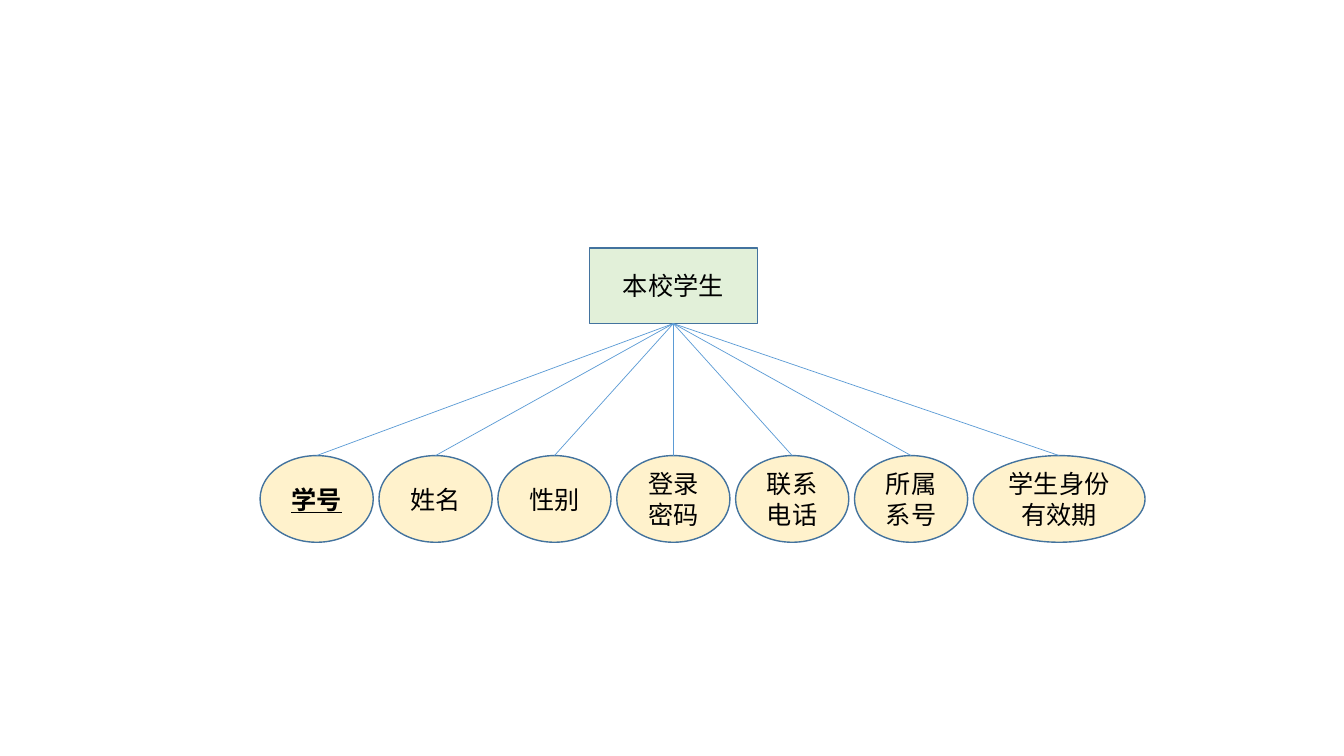
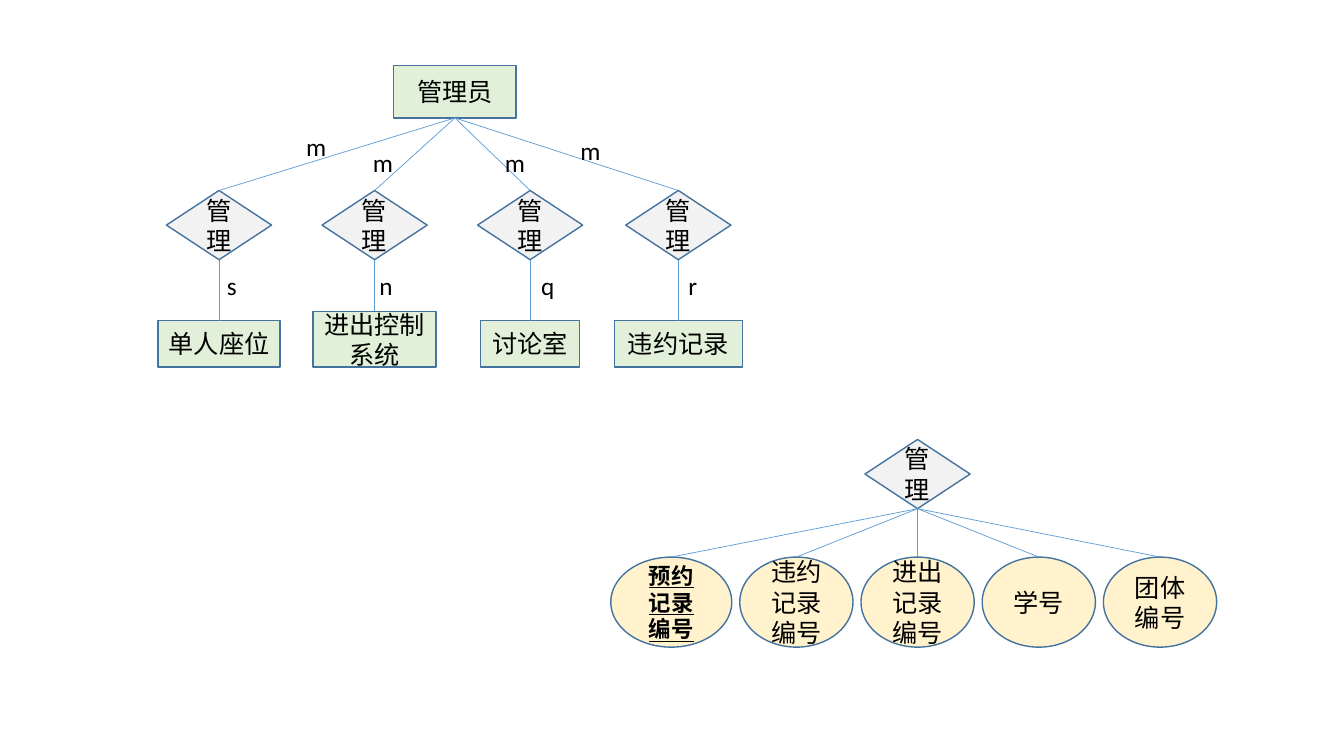
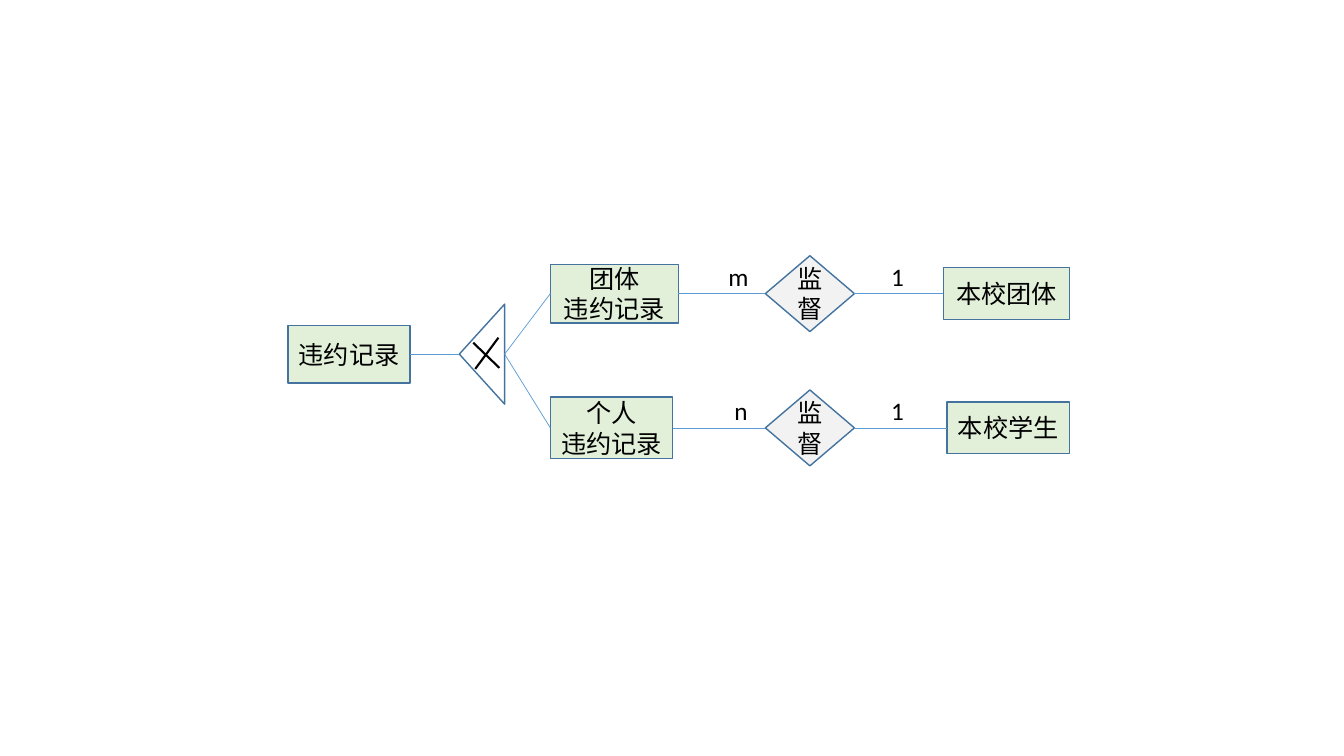
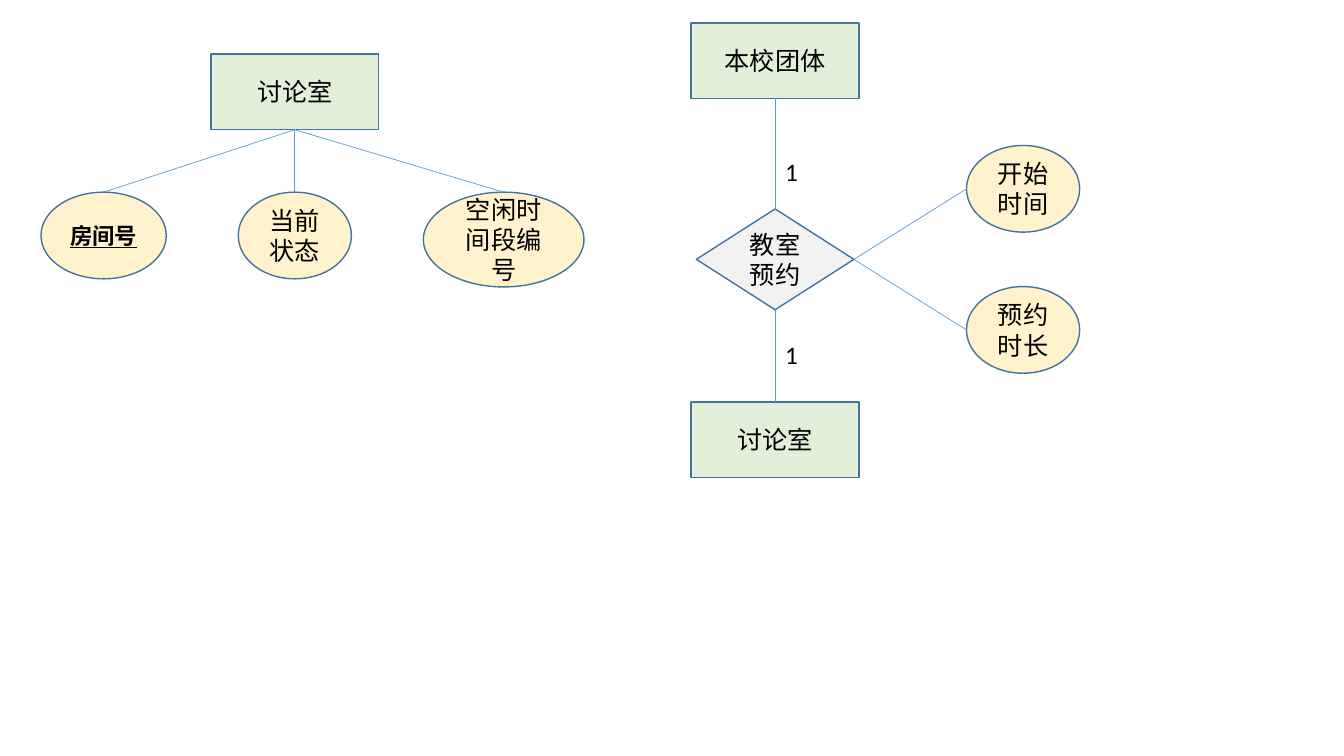
from dataclasses import dataclass
from typing import NamedTuple

from lxml.etree import SubElement
from pptx import Presentation
from pptx.dml.color import RGBColor
from pptx.enum.shapes import MSO_CONNECTOR, MSO_SHAPE
from pptx.enum.text import MSO_ANCHOR, MSO_AUTO_SIZE, PP_ALIGN
from pptx.oxml.ns import qn
from pptx.util import Inches, Pt

COLS, ROWS = 40, 22.5
CELL = Inches(1) / 3


@dataclass(frozen=True)
class Theme:
    """Colours, type sizes and line widths of the deck."""
    font: str = "Calibri"
    size: int = 18
    small: int = 16
    ink: str = "000000"
    edge: str = "43739E"
    wire: str = "5B9BD5"
    entity: str = "E2F0D9"
    tie: str = "F2F2F2"
    field: str = "FFF2CC"
    thin: float = 0.5
    rim: float = 1
    bold: float = 1.5


class Box(NamedTuple):
    """Region in grid cells."""
    x: float
    y: float
    w: float
    h: float


class Leaf(NamedTuple):
    """Attribute with its size; key is the type size of a key attribute."""
    text: str
    w: float = 3.37
    h: float = 2.58
    key: int = 0


class Arm(NamedTuple):
    """Branch of a tree: centre, entity and two marks."""
    mid: float
    text: str
    w: float
    h: float
    spot: tuple
    mark: str
    shift: float


THEME = Theme()
LOOKS = {
    "entity": (MSO_SHAPE.RECTANGLE, THEME.entity),
    "tie": (MSO_SHAPE.DIAMOND, THEME.tie),
    "field": (MSO_SHAPE.OVAL, THEME.field),
}
SIDES = {"top": (0.5, 0), "left": (0, 0.5), "bottom": (0.5, 1), "right": (1, 0.5)}
MARKS = {"m": 1.2, "n": 1.02, "q": 1.02, "s": 0.9, "r": 0.87, "1": 0.99}
BIG = (5, 2.25)


def emu(*cells):
    """Turn grid cells into slide units."""
    return [round(cell * CELL) for cell in cells]


def style(frame, size=THEME.size, key=False):
    """Format every run of a text frame."""
    for para in frame.paragraphs:
        for run in para.runs:
            font = run.font
            font.name, font.size = THEME.font, Pt(size)
            font.color.rgb = RGBColor.from_string(THEME.ink)
            if key:
                font.bold = font.underline = True


def rim(shape):
    """Give a shape the common outline and no shadow."""
    shape.shadow.inherit = False
    shape.line.color.rgb = RGBColor.from_string(THEME.edge)
    shape.line.width = Pt(THEME.rim)


def node(slide, kind, text, mid, top, w, h, key=0):
    """Draw a labelled node centred on a column."""
    form, fill = LOOKS[kind]
    shape = slide.shapes.add_shape(form, *emu(mid - w / 2, top, w, h))
    rim(shape)
    shape.fill.solid()
    shape.fill.fore_color.rgb = RGBColor.from_string(fill)
    frame = shape.text_frame
    frame.text = text
    frame.word_wrap = True
    frame.vertical_anchor = MSO_ANCHOR.MIDDLE
    for para in frame.paragraphs:
        para.alignment = PP_ALIGN.CENTER
    style(frame, key or THEME.size, bool(key))
    return shape


def note(slide, text, x, y):
    """Write a cardinality mark."""
    frame = slide.shapes.add_textbox(*emu(x, y, MARKS[text], 1.2)).text_frame
    frame.text = text
    frame.word_wrap = False
    frame.auto_size = MSO_AUTO_SIZE.SHAPE_TO_FIT_TEXT
    style(frame)


def wire(slide, start, end, color=THEME.wire, width=THEME.thin):
    """Draw a straight line between two points."""
    line = slide.shapes.add_connector(MSO_CONNECTOR.STRAIGHT, *start, *end)
    line.line.color.rgb = RGBColor.from_string(color)
    line.line.width = Pt(width)
    SubElement(line._element.spPr, qn("a:effectLst"))
    return line


def port(shape, side):
    """Find the middle of one side of a shape."""
    across, down = SIDES[side]
    return (round(shape.left + across * shape.width),
            round(shape.top + down * shape.height))


def site(shape, side):
    """Number the connection site on one side."""
    step = 2 if shape.auto_shape_type == MSO_SHAPE.OVAL else 1
    return list(SIDES).index(side) * step


def link(slide, one, out, two, into):
    """Join two nodes with a line glued to their sides."""
    start, end = port(one, out), port(two, into)
    line = wire(slide, start, end)
    line.begin_connect(one, site(one, out))
    line.end_connect(two, site(two, into))
    line.begin_x, line.begin_y = start
    line.end_x, line.end_y = end


def fan(slide, box, kind, text, size, leaves):
    """Spread attributes below the box, under a root over the middle one."""
    gap = (box.w - sum(leaf.w for leaf in leaves)) / (len(leaves) - 1)
    mids, left = [], box.x
    for leaf in leaves:
        mids.append(left + leaf.w / 2)
        left += leaf.w + gap
    root = node(slide, kind, text, mids[len(leaves) // 2], box.y, *size)
    for leaf, mid in zip(leaves, mids):
        item = node(slide, "field", leaf.text, mid, box.y + box.h,
                    leaf.w, leaf.h, leaf.key)
        link(slide, root, "bottom", item, "top")


def tree(slide, box, text, arms):
    """Hang entities from a root through relationships."""
    root = node(slide, "entity", text, box.x + 8.83, box.y, 3.64, 1.56)
    for arm in arms:
        mid = box.x + arm.mid
        tie = node(slide, "tie", "管理", mid, box.y + 3.72, 3.13, 2.06)
        item = node(slide, "entity", arm.text, mid, box.y + box.h - arm.h,
                    arm.w, arm.h)
        link(slide, root, "bottom", tie, "top")
        link(slide, tie, "bottom", item, "top")
        note(slide, "m", box.x + arm.spot[0], box.y + arm.spot[1])
        note(slide, arm.mark, mid + arm.shift, box.y + 5.94)


def chain(slide, box, first, width, mark, last, end):
    """Lay two entities and their relationship along a row."""
    mid = box.y + box.h / 2
    head = node(slide, "entity", first, box.x + width / 2, box.y, width, box.h)
    tie = node(slide, "tie", "监督", box.x + box.w / 2, mid - 1.13, 2.65, 2.26)
    tail = node(slide, "entity", last, box.x + box.w - end / 2, mid - 0.77,
                end, 1.54)
    link(slide, head, "right", tie, "left")
    link(slide, tie, "right", tail, "left")
    note(slide, mark, box.x + 6.2 - MARKS[mark], mid - 1.12)
    note(slide, "1", box.x + 9.85, mid - 1.12)
    return head


def split(slide, box, text, parts):
    """Divide an entity into exclusive parts through a crossed triangle."""
    mid = box.y + box.h / 2
    root = node(slide, "entity", text, box.x + 1.82, mid - 0.86, 3.64, 1.72)
    long, deep = box.h, 1.35
    heart = box.x + box.w - deep / 2
    gate = slide.shapes.add_shape(
        MSO_SHAPE.FLOWCHART_MERGE,
        *emu(heart - long / 2, mid - deep / 2, long, deep))
    gate.rotation = 90
    gate.fill.background()
    rim(gate)
    wire(slide, port(root, "right"), emu(heart - deep / 2, mid))
    for part in parts:
        wire(slide, emu(box.x + box.w, mid), port(part, "left"))
    for start, end in (((0.49, -0.49), (-0.2, 0.44)),
                       ((-0.26, -0.34), (0.52, 0.41))):
        wire(slide, emu(heart + start[0], mid + start[1]),
             emu(heart + end[0], mid + end[1]), THEME.ink, THEME.bold)


def stack(slide, box, ends, text, leaves):
    """Stack two entities round a relationship with attributes beside it."""
    mid, heart = box.x + box.w / 2, box.y + 7.04
    w, h = BIG
    head = node(slide, "entity", ends[0], mid, box.y, w, h)
    tail = node(slide, "entity", ends[1], mid, box.y + box.h - h, w, h)
    tie = node(slide, "tie", text, mid, heart - 1.5, 4.69, 3)
    link(slide, head, "bottom", tie, "top")
    link(slide, tie, "bottom", tail, "top")
    for leaf, shift in zip(leaves, (-2.1, 2.1)):
        item = node(slide, "field", leaf.text, mid + 7.38,
                    heart + shift - leaf.h / 2, leaf.w, leaf.h)
        link(slide, tie, "right", item, "left")
    for down in (3.84, 9.27):
        note(slide, "1", mid, box.y + down)


def student(slide):
    """Show the attributes of a student."""
    fan(slide, Box(7.74, 7.38, 26.34, 6.18), "entity", "本校学生", BIG, [
        Leaf("学号", key=THEME.size), Leaf("姓名"), Leaf("性别"),
        Leaf("登录密码"), Leaf("联系电话"), Leaf("所属系号"),
        Leaf("学生身份有效期", 5.11)])


def admin(slide):
    """Show what the administrator manages."""
    tree(slide, Box(4.71, 1.95, 17.4, 8.97), "管理员", [
        Arm(1.81, "单人座位", 3.64, 1.38, (4.11, 1.8), "s", -0.06),
        Arm(6.44, "进出控制系统", 3.66, 1.65, (6.09, 2.28), "n", -0.15),
        Arm(11.07, "讨论室", 2.95, 1.38, (10.02, 2.28), "q", 0.03),
        Arm(15.48, "违约记录", 3.81, 1.38, (12.27, 1.92), "r", 0)])
    high = 2.68
    fan(slide, Box(18.18, 13.08, 18.03, 3.5), "tie", "管理", (3.13, 2.06), [
        Leaf("预约记录编号", 3.6, high, THEME.small),
        Leaf("违约记录编号", h=high), Leaf("进出记录编号", h=high),
        Leaf("学号", h=high), Leaf("团体编号", h=high)])


def breach(slide):
    """Show the two kinds of breach record."""
    group = chain(slide, Box(16.38, 7.87, 15.45, 1.74), "团体\n违约记录",
                  3.81, "m", "本校团体", 3.75)
    single = chain(slide, Box(16.38, 11.82, 15.45, 1.83), "个人\n违约记录",
                   3.64, "n", "本校学生", 3.64)
    split(slide, Box(8.57, 9.05, 6.45, 2.98), "违约记录", (group, single))


def room(slide):
    """Show the discussion room and its booking."""
    fan(slide, Box(1.22, 1.61, 16.16, 4.11), "entity", "讨论室", BIG, [
        Leaf("房间号", 3.73, key=THEME.small), Leaf("当前状态"),
        Leaf("空闲时间段编号", 4.78, 2.82)])
    stack(slide, Box(20.57, 0.68, 5, 13.53), ("本校团体", "讨论室"),
          "教室预约", (Leaf("开始时间"), Leaf("预约时长")))


def main():
    """Build and save the deck."""
    deck = Presentation()
    deck.slide_width, deck.slide_height = emu(COLS, ROWS)
    blank = deck.slide_layouts[6]
    for draw in (student, admin, breach, room):
        draw(deck.slides.add_slide(blank))
    deck.save("out.pptx")


main()
